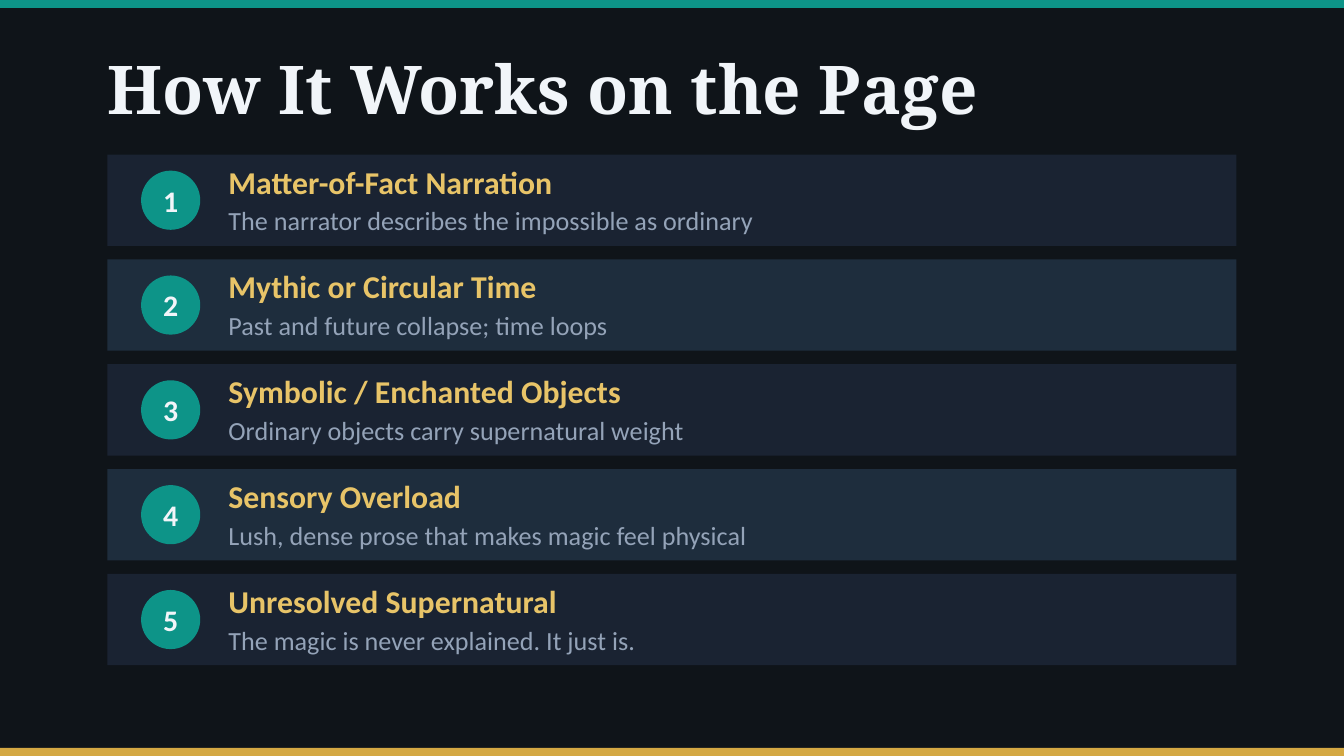
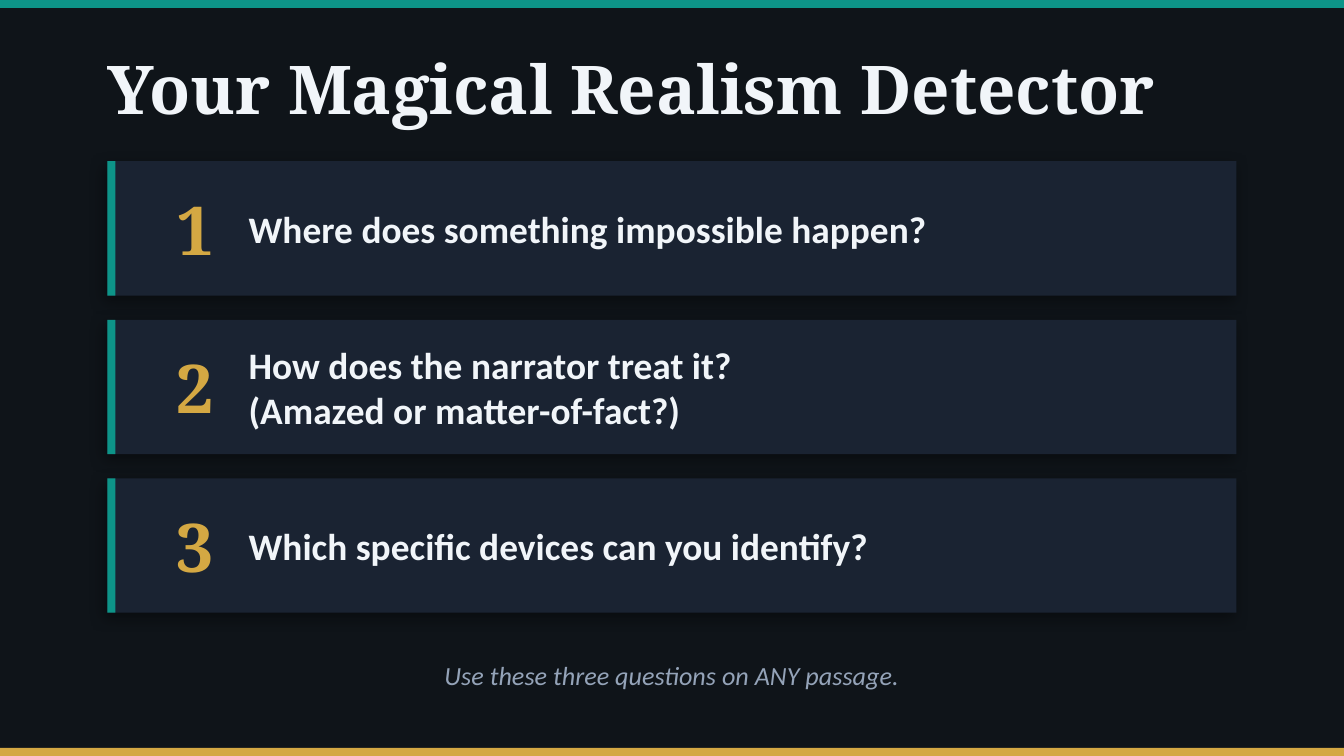
from dataclasses import dataclass

from lxml import etree
from pptx import Presentation
from pptx import util as u
from pptx.dml.color import RGBColor
from pptx.enum import shapes, text
from pptx.oxml.ns import qn

# Content
DEVICES_TITLE = "How It Works on the Page"
DEVICES = [
    ("Matter-of-Fact Narration", "The narrator describes the impossible as ordinary"),
    ("Mythic or Circular Time", "Past and future collapse; time loops"),
    ("Symbolic / Enchanted Objects", "Ordinary objects carry supernatural weight"),
    ("Sensory Overload", "Lush, dense prose that makes magic feel physical"),
    ("Unresolved Supernatural", "The magic is never explained. It just is."),
]
DETECTOR_TITLE = "Your Magical Realism Detector"
QUESTIONS = [
    ["Where does something impossible happen?"],
    ["How does the narrator treat it?", "(Amazed or matter-of-fact?)"],
    ["Which specific devices can you identify?"],
]
DETECTOR_NOTE = "Use these three questions on ANY passage."


@dataclass(frozen=True)
class Theme:
    back: str = "0F1419"
    panel: str = "1A2332"
    panel_alt: str = "1E2D3D"
    teal: str = "0D9488"
    gold: str = "D4A843"
    gold_light: str = "E8C468"
    light: str = "F1F5F9"
    muted: str = "94A3B8"
    shadow: str = "000000"
    serif: str = "Noto Serif"
    sans: str = "Calibri"
    display: int = 36
    question: int = 20
    heading: int = 17
    badge: int = 16
    body: int = 14


T = Theme()
W, H = 10, 5.625
MARGIN = 0.08 * W
CONTENT_W = W - 2 * MARGIN
BAND = 0.06


# Helpers
def box(left, top, width, height):
    return [u.Inches(v) for v in (left, top, width, height)]


def write(sp, lines, size, color, font=T.sans, bold=False, italic=False, center=False):
    """Fill a shape with one paragraph per line, centred vertically, no insets."""
    tf = sp.text_frame
    tf.word_wrap = True
    tf.auto_size = text.MSO_AUTO_SIZE.NONE
    tf.vertical_anchor = text.MSO_ANCHOR.MIDDLE
    tf.margin_left = tf.margin_top = tf.margin_right = tf.margin_bottom = 0
    for i, line in enumerate(lines):
        p = tf.add_paragraph() if i else tf.paragraphs[0]
        p.alignment = text.PP_ALIGN.CENTER if center else text.PP_ALIGN.LEFT
        r = p.add_run()
        r.text = line
        r.font.name, r.font.size = font, u.Pt(size)
        r.font.bold, r.font.italic = bold, italic
        r.font.color.rgb = RGBColor.from_string(color)


def add_text(s, at, lines, size, color, **style):
    write(s.shapes.add_textbox(*box(*at)), lines, size, color, **style)


def add_block(s, at, color, kind=shapes.MSO_SHAPE.RECTANGLE):
    sp = s.shapes.add_shape(kind, *box(*at))
    sp.shadow.inherit = False
    sp.fill.solid()
    sp.fill.fore_color.rgb = RGBColor.from_string(color)
    sp.line.fill.background()
    return sp


def cast_shadow(sp, blur=8, dist=3, angle=135, alpha=40):
    effects = sp._element.spPr.find(qn("a:effectLst"))
    shadow = etree.SubElement(effects, qn("a:outerShdw"), blurRad=str(u.Pt(blur)),
                              dist=str(u.Pt(dist)), dir=str(angle * 60000),
                              algn="bl", rotWithShape="0")
    color = etree.SubElement(shadow, qn("a:srgbClr"), val=T.shadow)
    etree.SubElement(color, qn("a:alpha"), val=str(alpha * 1000))


def add_slide(prs, title):
    """Title-only slide with the dark background and both edge bands."""
    s = prs.slides.add_slide(prs.slide_layouts[5])
    s.background.fill.solid()
    s.background.fill.fore_color.rgb = RGBColor.from_string(T.back)
    sp = s.shapes.title
    sp.left, sp.top, sp.width, sp.height = box(MARGIN, 0.3, CONTENT_W, 0.7)
    write(sp, [title], T.display, T.light, font=T.serif, bold=True)
    add_block(s, (0, 0, W, BAND), T.teal)
    add_block(s, (0, H - BAND, W, BAND), T.gold)
    return s


# Slides
def devices_slide(prs):
    s = add_slide(prs, DEVICES_TITLE)
    first, row_h, gap, dot = 1.15, 0.68, 0.1, 0.44
    text_left, text_w = 1.7, 7
    for i, (name, detail) in enumerate(DEVICES):
        top = first + i * (row_h + gap)
        add_block(s, (MARGIN, top, CONTENT_W, row_h), T.panel_alt if i % 2 else T.panel)
        badge = add_block(s, (MARGIN + 0.25, top + (row_h - dot) / 2, dot, dot),
                          T.teal, shapes.MSO_SHAPE.OVAL)
        write(badge, [str(i + 1)], T.badge, T.light, bold=True, center=True)
        add_text(s, (text_left, top + 0.05, text_w, 0.3), [name],
                 T.heading, T.gold_light, bold=True)
        add_text(s, (text_left, top + 0.35, text_w, 0.28), [detail], T.body, T.muted)


def detector_slide(prs):
    s = add_slide(prs, DETECTOR_TITLE)
    first, card_h, gap = 1.2, 1, 0.18
    for i, question in enumerate(QUESTIONS):
        top = first + i * (card_h + gap)
        cast_shadow(add_block(s, (MARGIN, top, CONTENT_W, card_h), T.panel))
        add_block(s, (MARGIN, top, BAND, card_h), T.teal)
        add_text(s, (MARGIN + 0.35, top, 0.6, card_h), [str(i + 1)],
                 T.display, T.gold, font=T.serif, bold=True, center=True)
        add_text(s, (MARGIN + 1.05, top, 6.9, card_h), question,
                 T.question, T.light, bold=True)
    add_text(s, (MARGIN, 4.85, CONTENT_W, 0.35), [DETECTOR_NOTE],
             T.body, T.muted, italic=True, center=True)


def main():
    prs = Presentation()
    prs.slide_width, prs.slide_height = u.Inches(W), u.Inches(H)
    devices_slide(prs)
    detector_slide(prs)
    prs.save("out.pptx")


if __name__ == "__main__":
    main()
